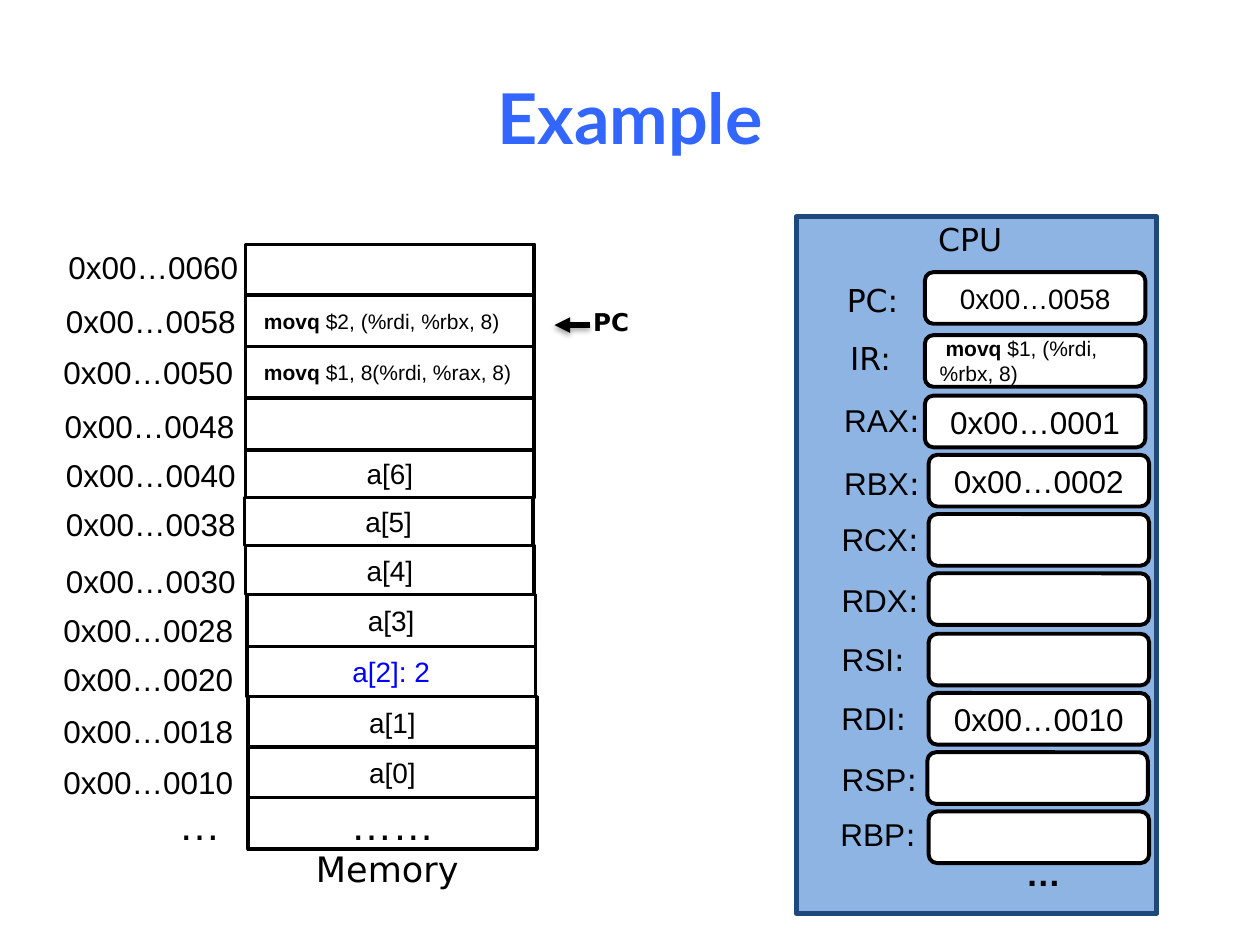
from lxml import etree
from pptx import Presentation
from pptx.dml.color import RGBColor
from pptx.enum.shapes import MSO_CONNECTOR, MSO_SHAPE
from pptx.enum.text import MSO_ANCHOR, PP_ALIGN
from pptx.oxml import parse_xml
from pptx.oxml.ns import nsdecls
from pptx.util import Inches, Pt

LEFT, CENTER, RIGHT = PP_ALIGN.LEFT, PP_ALIGN.CENTER, PP_ALIGN.RIGHT
MIDDLE, TOP = MSO_ANCHOR.MIDDLE, MSO_ANCHOR.TOP
RECT, ROUNDED = MSO_SHAPE.RECTANGLE, MSO_SHAPE.ROUNDED_RECTANGLE
BLACK = RGBColor(0, 0, 0)
WHITE = RGBColor(255, 255, 255)
BLUE = RGBColor(0, 0, 255)
TITLE_BLUE = RGBColor(0x33, 0x66, 0xFF)
CPU_FILL = RGBColor(0x8E, 0xB4, 0xE3)
CPU_LINE = RGBColor(0x1F, 0x49, 0x7D)
SANS = "DejaVu Sans"

# Content: text is a string or a list of (text, bold) spans
STORE_2 = [(" ", False), ("movq ", True), ("$2, (%rdi, %rbx, 8)", False)]
STORE_1 = [(" ", False), ("movq ", True), ("$1, 8(%rdi, %rax, 8)", False)]
LOADED = [(" ", False), ("movq", True), (" $1, (%rdi, %rbx, 8)", False)]
CODE = dict(size=12, align=LEFT)

# Memory: address, address left and top, cell left and top, content, format
MEMORY = [
    ("0x00…0060", 0.43, 1.92, 1.95, 1.94, "", {}),
    ("0x00…0058", 0.41, 2.35, 1.95, 2.34, STORE_2, CODE),
    ("0x00…0050", 0.39, 2.75, 1.95, 2.75, STORE_1, CODE),
    ("0x00…0048", 0.40, 3.18, 1.95, 3.16, "", {}),
    ("0x00…0040", 0.41, 3.57, 1.95, 3.57, "a[6]", {}),
    ("0x00…0038", 0.41, 3.96, 1.94, 3.95, "a[5]", {}),
    ("0x00…0030", 0.41, 4.41, 1.95, 4.33, "a[4]", {}),
    ("0x00…0028", 0.39, 4.80, 1.96, 4.72, "a[3]", {}),
    ("0x00…0020", 0.39, 5.19, 1.96, 5.13, "a[2]: 2", dict(color=BLUE)),
    ("0x00…0018", 0.39, 5.60, 1.97, 5.53, "a[1]", {}),
    ("0x00…0010", 0.39, 6.01, 1.97, 5.93, "a[0]", {}),
    ("…", 0.29, 6.29, 1.97, 6.33, "……", dict(size=24)),
]
MEMORY_BOTTOM = 6.74

# Registers: name, label left, top and width, box left and top, value, format
REGISTERS = [
    ("PC", 6.60, 2.18, 0.65, 7.34, 2.16, "0x00…0058", dict(size=16)),
    ("IR", 6.61, 2.64, 0.60, 7.34, 2.66, LOADED, CODE),
    ("RAX", 6.58, 3.13, 0.84, 7.34, 3.14, "0x00…0001", {}),
    ("RBX", 6.58, 3.63, 0.84, 7.37, 3.61, "0x00…0002", {}),
    ("RCX", 6.56, 4.08, 0.85, 7.37, 4.08, "", {}),
    ("RDX", 6.56, 4.56, 0.85, 7.37, 4.55, "", {}),
    ("RSI", 6.56, 5.03, 0.74, 7.37, 5.03, "", {}),
    ("RDI", 6.56, 5.50, 0.75, 7.37, 5.50, "0x00…0010", {}),
    ("RSP", 6.56, 5.98, 0.84, 7.36, 5.97, "", {}),
    ("RBP", 6.55, 6.42, 0.84, 7.37, 6.44, "", {}),
]


def write(frame, text, size=18, font="Arial", color=BLACK, bold=False,
          align=CENTER, anchor=MIDDLE, wrap=True):
    frame.word_wrap = wrap
    frame.vertical_anchor = anchor
    para = frame.paragraphs[0]
    para.alignment = align
    spans = [(text, bold)] if isinstance(text, str) else text
    for words, heavy in spans:
        span = para.add_run()
        span.text = words
        span.font.size = Pt(size)
        span.font.name = font
        span.font.bold = heavy
        span.font.color.rgb = color
    return para


def add_box(page, kind, left, top, width, height, fill=WHITE, line=BLACK, weight=2):
    box = page.shapes.add_shape(kind, Inches(left), Inches(top), Inches(width), Inches(height))
    box.shadow.inherit = False
    box.fill.solid()
    box.fill.fore_color.rgb = fill
    box.line.color.rgb = line
    box.line.width = Pt(weight)
    return box


def add_label(page, text, left, top, width, height=0.4, **style):
    box = page.shapes.add_textbox(Inches(left), Inches(top), Inches(width), Inches(height))
    return write(box.text_frame, text, anchor=TOP, wrap=False, **style)


def add_arrow(page, start, end, top):
    arrow = page.shapes.add_connector(
        MSO_CONNECTOR.STRAIGHT, Inches(start), Inches(top), Inches(end), Inches(top))
    arrow.line.color.rgb = BLACK
    arrow.line.width = Pt(3)
    line = arrow.line._get_or_add_ln()
    etree.SubElement(line, line.tag.replace("}ln", "}tailEnd"), type="triangle")
    arrow._element.spPr.append(parse_xml(
        f'<a:effectLst {nsdecls("a")}><a:outerShdw blurRad="{Pt(3.1)}" dist="{Pt(1.8)}"'
        ' dir="5400000" rotWithShape="0"><a:srgbClr val="000000"><a:alpha val="35000"/>'
        '</a:srgbClr></a:outerShdw></a:effectLst>'))


def add_memory(page):
    bottoms = [row[4] for row in MEMORY[1:]] + [MEMORY_BOTTOM]
    for row, bottom in zip(MEMORY, bottoms):
        address, label_left, label_top, left, top, content, style = row
        cell = add_box(page, RECT, left, top, 2.29, bottom - top)
        if content:
            write(cell.text_frame, content, **{"size": 16, **style})
        size = 24 if address == "…" else 18
        add_label(page, address, label_left, label_top, 1.56, size=size, align=RIGHT)
    add_label(page, "Memory", 2.41, 6.68, 1.33, 0.44, size=20, font=SANS, align=LEFT)
    # Program counter marker
    add_arrow(page, 4.68, 4.4, 2.58)
    add_label(page, "PC", 4.61, 2.39, 0.49, 0.34, size=14, font=SANS, bold=True, align=LEFT)


def add_cpu(page):
    add_box(page, RECT, 6.32, 1.72, 2.86, 5.53, fill=CPU_FILL, line=CPU_LINE, weight=3)
    add_label(page, "CPU", 7.34, 1.7, 0.72, font=SANS)
    for name, label_left, label_top, width, left, top, value, style in REGISTERS:
        box = add_box(page, ROUNDED, left, top, 1.75, 0.41, weight=2.25)
        if value:
            write(box.text_frame, value, **style)
        para = add_label(page, [(name, False), (":", False)], label_left, label_top, width)
        para.runs[1].font.name = SANS
        if len(name) == 2:
            para.runs[0].font.name = SANS
    add_label(page, "…", 8.04, 6.71, 0.48, 0.44, size=20, bold=True)


def main():
    deck = Presentation()
    deck.slide_width, deck.slide_height = Inches(10), Inches(7.5)
    page = deck.slides.add_slide(deck.slide_layouts[5])

    # Title
    title = page.shapes.title
    title.left, title.top = Inches(0.5), Inches(0.3)
    title.width, title.height = Inches(9), Inches(1.25)
    write(title.text_frame, "Example", size=40, font="Lato", color=TITLE_BLUE, bold=True)

    add_cpu(page)
    add_memory(page)
    deck.save("out.pptx")


if __name__ == "__main__":
    main()
